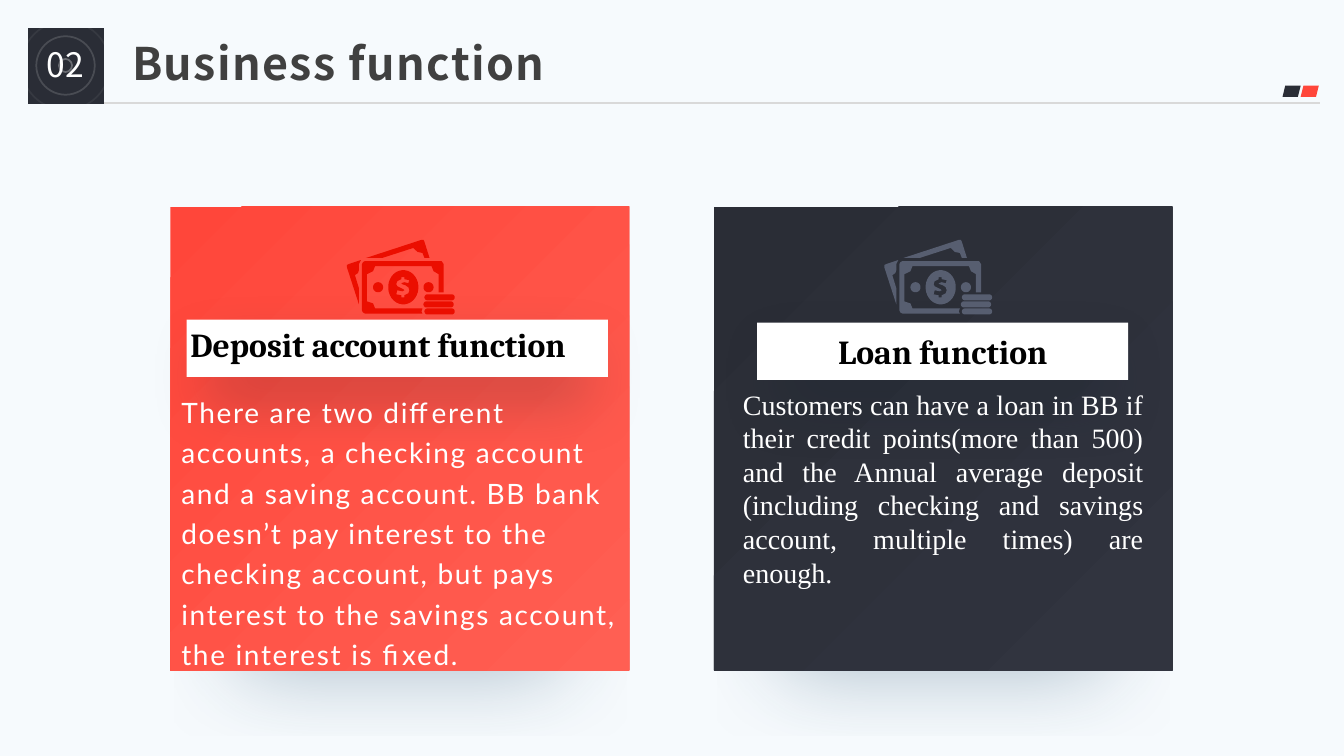
"""Build the slide that presents the two business functions of the bank."""
from math import cos, pi, sin

from lxml.etree import SubElement
from pptx import Presentation
from pptx.dml.color import RGBColor
from pptx.enum.shapes import MSO_CONNECTOR, MSO_SHAPE
from pptx.enum.text import MSO_ANCHOR, MSO_AUTO_SIZE, PP_ALIGN
from pptx.oxml import parse_xml
from pptx.oxml.ns import nsdecls, qn
from pptx.util import Inches, Pt

color = RGBColor.from_string
WHITE, DARK, RED, PALE = "FFFFFF", "2A2D36", "FF463A", "F6FAFD"


def style_shape(shape, fill=None, shadow=None):
    shape.shadow.inherit = False
    shape.line.fill.background()
    if fill is None:
        shape.fill.background()
    elif isinstance(fill, tuple):
        shape.fill.gradient()
        shape.fill.gradient_angle = 315
        for stop, value in zip(shape.fill.gradient_stops, fill):
            stop.color.rgb = color(value)
    else:
        shape.fill.solid()
        shape.fill.fore_color.rgb = color(fill)
    if shadow:
        value, alpha, blur, distance, scale = shadow
        shape._element.spPr.find(qn("a:effectLst")).append(parse_xml(
            f'<a:outerShdw {nsdecls("a")} blurRad="{Pt(blur)}" dist="{Pt(distance)}" '
            f'dir="5400000" sx="{scale * 1000}" sy="{scale * 1000}" algn="t" rotWithShape="0">'
            f'<a:srgbClr val="{value}"><a:alpha val="{alpha * 1000}"/></a:srgbClr>'
            '</a:outerShdw>'))


def write_text(frame, text, font, value, anchor=MSO_ANCHOR.TOP, spacing=0, **layout):
    frame.word_wrap = True
    frame.auto_size = MSO_AUTO_SIZE.NONE
    frame.vertical_anchor = anchor
    paragraph = frame.paragraphs[0]
    for name, setting in layout.items():
        setattr(paragraph, name, setting)
    run = paragraph.add_run()
    run.text = text
    for name, setting in font.items():
        setattr(run.font, name, setting)
    run.font.color.rgb = color(value)
    if spacing:
        run._r.get_or_add_rPr().set("spc", str(round(spacing * 100)))


presentation = Presentation()
presentation.slide_width = Inches(13.33)
presentation.slide_height = Inches(7.5)
slide = presentation.slides.add_slide(presentation.slide_layouts[5])
slide.background.fill.solid()
slide.background.fill.fore_color.rgb = color(PALE)
shapes = slide.shapes

rule = shapes.add_connector(
    MSO_CONNECTOR.STRAIGHT, Inches(1.03), Inches(1.02), Inches(13.09), Inches(1.02))
rule.line.color.rgb = color("D9D9D9")
rule.line.width = Pt(1.5)
SubElement(rule._element.spPr, qn("a:effectLst"))

for kind, box, fill in (
    (MSO_SHAPE.PARALLELOGRAM, (12.9, 0.85, 0.18, 0.11), RED),
    (MSO_SHAPE.PARALLELOGRAM, (12.72, 0.85, 0.18, 0.11), DARK),
    (MSO_SHAPE.RECTANGLE, (0.28, 0.28, 0.75, 0.75), DARK),
):
    style_shape(shapes.add_shape(kind, *map(Inches, box)), fill)

for diameter, alpha in ((0.13, 30), (0.88, 5), (0.58, 15)):
    corner = Inches(0.65 - diameter / 2)
    ring = shapes.add_shape(
        MSO_SHAPE.OVAL, corner, corner, Inches(diameter), Inches(diameter))
    style_shape(ring)
    ring.line.color.rgb = color(WHITE)
    ring.line.width = Pt(1.25)
    ring_color = ring._element.spPr.find(qn("a:ln")).find(".//" + qn("a:srgbClr"))
    SubElement(ring_color, qn("a:alpha")).set("val", str(alpha * 1000))

heading_font = {"name": "Noto Sans CJK SC", "size": Pt(32), "bold": True}
title = shapes.title
title.left, title.top, title.width, title.height = map(Inches, (1.21, 0.36, 11.87, 0.59))
write_text(title.text_frame, "Business function", heading_font, "404040",
           MSO_ANCHOR.MIDDLE, 1, alignment=PP_ALIGN.LEFT, line_spacing=0.9)
number = shapes.add_textbox(*map(Inches, (0.26, 0.29, 0.78, 0.74)))
write_text(number.text_frame, "02", heading_font | {"size": Pt(24), "bold": False}, WHITE,
           MSO_ANCHOR.MIDDLE, alignment=PP_ALIGN.CENTER, line_spacing=0.9)

back_note = [
    [(4.21, 2.4), (4.2, 2.38), (4.18, 2.38), (3.63, 2.56), (3.79, 2.56), (4.1, 2.46),
     (4.14, 2.5), (4.19, 2.51), (4.21, 2.56), (4.26, 2.56)],
    [(3.44, 2.65), (3.56, 3.02), (3.56, 2.86), (3.52, 2.73), (3.55, 2.71), (3.56, 2.68),
     (3.56, 2.62), (3.58, 2.58), (3.46, 2.62), (3.44, 2.63)],
]
dollar_sign = [
    (4.01, 2.93), (4.01, 2.95), (3.98, 2.95), (3.98, 2.93), (3.93, 2.92), (3.94, 2.88),
    (3.99, 2.89), (4.01, 2.88), (4.0, 2.87), (3.98, 2.86), (3.94, 2.84), (3.93, 2.82),
    (3.94, 2.79), (3.98, 2.77), (3.98, 2.75), (4.01, 2.75), (4.01, 2.77), (4.06, 2.78),
    (4.05, 2.81), (4.01, 2.8), (3.98, 2.81), (3.99, 2.82), (4.02, 2.83), (4.05, 2.85),
    (4.06, 2.88), (4.05, 2.91),
]
note_frame = [
    (4.18, 3.09), (4.19, 3.06), (3.72, 3.06), (3.7, 3.01), (3.64, 2.99), (3.64, 2.72),
    (3.7, 2.69), (3.72, 2.64), (4.28, 2.64), (4.3, 2.69), (4.35, 2.72), (4.35, 2.9),
    (4.4, 2.9), (4.4, 2.62), (4.38, 2.59), (3.62, 2.59), (3.6, 2.6), (3.59, 2.62),
    (3.59, 3.08), (3.6, 3.1), (3.62, 3.11), (4.19, 3.11),
]
ovals = [(4.25, 2.85, 0.05, 0.05, 0), (3.75, 2.85, 0.05, 0.05, 0), (4, 2.85, 0.15, 0.17, 0)]
coins = [(4.36, 2.95, 0.03, 0.03, 0.12), (4.35, 3.02, 0.03, 0.03, 0.12),
         (4.36, 3.09, 0.03, 0.03, 0.12)]
note_dots, coin_stack = [
    [[(x + rx * cos(angle) + (stretch if cos(angle) > 0 else -stretch), y + ry * sin(angle))
      for angle in ((step + 0.5) * pi / 16 for step in range(32))]
     for x, y, rx, ry, stretch in group]
    for group in (ovals, coins)
]
icon = [back_note, note_dots + [dollar_sign], [note_frame], coin_stack]

lato = {"name": "Lato", "size": Pt(20)}
times = {"name": "Times New Roman", "size": Pt(20)}
cards = (
    (1.69, (RED, "FF5F53"), "EB0E00", 0, (1.85, 3.17, 4.18, 0.57), (1.7, 3.81, 4.54, 2.5),
     "There are two different accounts, a checking account and a saving account. BB bank "
     "doesn’t pay interest to the checking account, but pays interest to the savings "
     "account, the interest is fixed.",
     lato, {"spacing": 1.2, "line_spacing": 1.2}),
    (7.08, (DARK, "31343F"), "575E70", 5.33, (7.51, 3.2, 3.68, 0.57), (7.27, 3.79, 4.17, 2.15),
     "Customers can have a loan in BB if their credit points(more than 500) and the Annual "
     "average deposit (including checking and savings account, multiple times) are enough.",
     times, {"alignment": PP_ALIGN.JUSTIFY}),
)
labels = []
for left, gradient, icon_color, shift, label_box, text_box, text, font, layout in cards:
    card = shapes.add_shape(MSO_SHAPE.RECTANGLE, *map(Inches, (left, 2.05, 4.55, 4.6)))
    style_shape(card, gradient, ("174466", 35, 66, 99, 70))
    label = shapes.add_shape(MSO_SHAPE.RECTANGLE, *map(Inches, label_box))
    style_shape(label, WHITE, ("091B29", 20, 44, 22, 90))
    labels.append(label)
    body = shapes.add_textbox(*map(Inches, text_box))
    write_text(body.text_frame, text, font, WHITE, **layout)
    for part in icon:
        outlines = [[(Inches(x + shift), Inches(y)) for x, y in outline] for outline in part]
        builder = shapes.build_freeform(*outlines[0][0], scale=1.0)
        builder.add_line_segments(outlines[0][1:])
        for outline in outlines[1:]:
            builder.move_to(*outline[0])
            builder.add_line_segments(outline[1:])
        style_shape(builder.convert_to_shape(), icon_color)

label_font = {"name": "Cambria", "size": Pt(24), "bold": True}
deposit = shapes.add_textbox(*map(Inches, (1.79, 3.16, 5.17, 0.5)))
write_text(deposit.text_frame, "Deposit account function", label_font, "000000")
write_text(labels[1].text_frame, "Loan function", label_font, "000000",
           MSO_ANCHOR.MIDDLE, alignment=PP_ALIGN.CENTER)

presentation.save("out.pptx")
